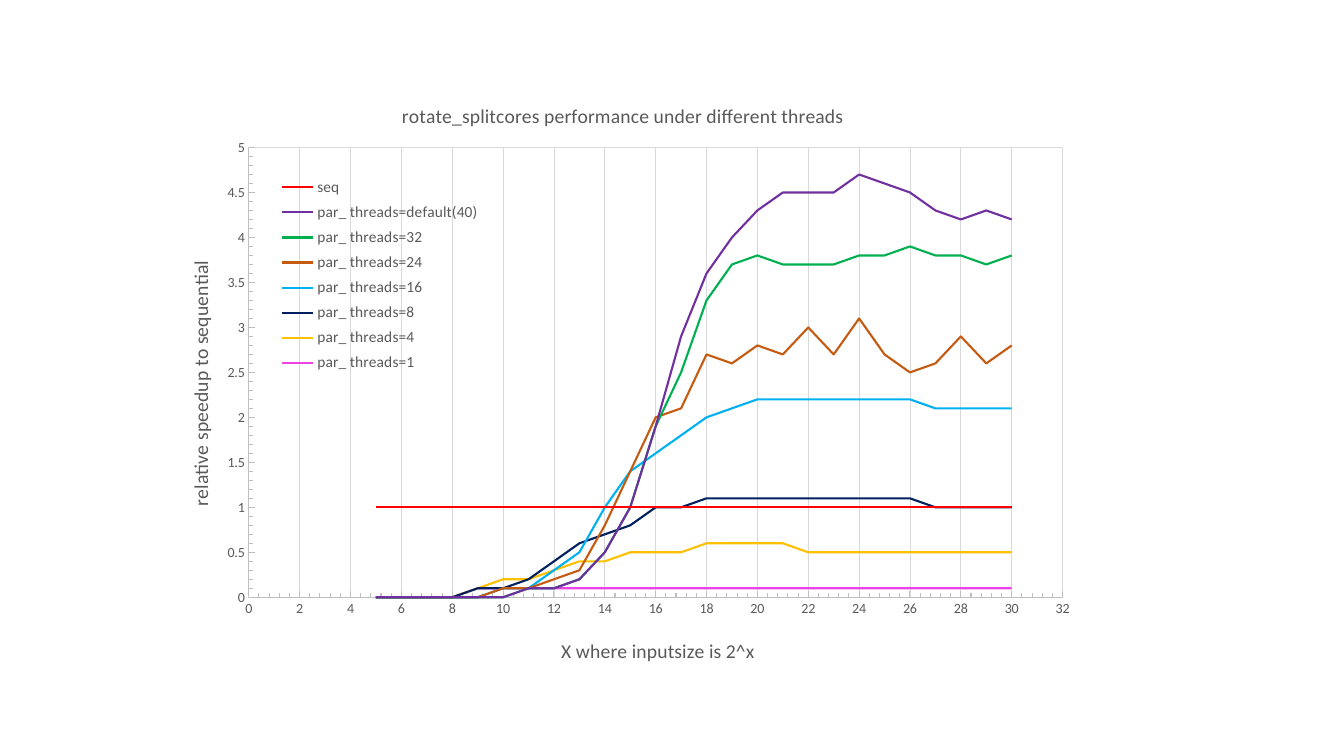
from pptx import Presentation
from pptx.chart.data import XyChartData as XyData
from pptx.dml.color import RGBColor as RGB
from pptx.enum.chart import XL_CHART_TYPE as Kind
from pptx.enum.chart import XL_LEGEND_POSITION as Side
from pptx.enum.chart import XL_TICK_MARK as Tick
from pptx.oxml import parse_xml
from pptx.oxml.ns import nsdecls, qn
from pptx.util import Pt

FONT = "Calibri"
TEXT = RGB(0x59, 0x59, 0x59)
AXIS = RGB(0xBF, 0xBF, 0xBF)
GRID = RGB(0xD9, 0xD9, 0xD9)
RED = RGB(0xFF, 0x00, 0x00)
PURPLE = RGB(0x70, 0x30, 0xA0)
GREEN = RGB(0x00, 0xB0, 0x50)
RUST = RGB(0xC5, 0x5A, 0x11)
SKY = RGB(0x00, 0xB0, 0xF0)
NAVY = RGB(0x00, 0x20, 0x60)
GOLD = RGB(0xFF, 0xC0, 0x00)
PINK = RGB(0xED, 0x43, 0xE6)

START = 5
SPEEDS = [
    ("seq", RED, [1] * 26),
    ("par_ threads=default(40)", PURPLE,
     [0, 0, 0, 0, 0, 0, 0.1, 0.1, 0.2, 0.5, 1, 1.9, 2.9, 3.6, 4, 4.3, 4.5,
      4.5, 4.5, 4.7, 4.6, 4.5, 4.3, 4.2, 4.3, 4.2]),
    ("par_ threads=32", GREEN,
     [0, 0, 0, 0, 0, 0, 0.1, 0.1, 0.2, 0.5, 1, 1.9, 2.5, 3.3, 3.7, 3.8, 3.7,
      3.7, 3.7, 3.8, 3.8, 3.9, 3.8, 3.8, 3.7, 3.8]),
    ("par_ threads=24", RUST,
     [0, 0, 0, 0, 0, 0.1, 0.1, 0.2, 0.3, 0.8, 1.4, 2, 2.1, 2.7, 2.6, 2.8, 2.7,
      3, 2.7, 3.1, 2.7, 2.5, 2.6, 2.9, 2.6, 2.8]),
    ("par_ threads=16", SKY,
     [0, 0, 0, 0, 0, 0.1, 0.1, 0.3, 0.5, 1, 1.4, 1.6, 1.8, 2, 2.1]
     + [2.2] * 7 + [2.1] * 4),
    ("par_ threads=8", NAVY,
     [0, 0, 0, 0, 0.1, 0.1, 0.2, 0.4, 0.6, 0.7, 0.8, 1, 1]
     + [1.1] * 9 + [1] * 4),
    ("par_ threads=4", GOLD,
     [0, 0, 0, 0, 0.1, 0.2, 0.2, 0.3, 0.4, 0.4, 0.5, 0.5, 0.5]
     + [0.6] * 4 + [0.5] * 9),
    ("par_ threads=1", PINK, [0] * 4 + [0.1] * 22),
]


def set_font(font, size):
    font.name = FONT
    font.size = Pt(size)
    font.bold = False
    font.color.rgb = TEXT


def set_line(line, color, width):
    line.color.rgb = color
    line.width = Pt(width)


def place(node, index, x, y, size=None, inner=False):
    old = node.find(qn("c:layout"))
    if old is not None:
        node.remove(old)
    parts = [("xMode", "edge"), ("yMode", "edge"), ("x", x), ("y", y)]
    if inner:
        parts.insert(0, ("layoutTarget", "inner"))
    if size:
        parts += zip("wh", size)
    body = "".join(f'<c:{tag} val="{val}"/>' for tag, val in parts)
    node.insert(index, parse_xml(
        f'<c:layout {nsdecls("c")}><c:manualLayout>{body}'
        "</c:manualLayout></c:layout>"))


def add_title(title, text, x, y, turn=0):
    frame = title.text_frame
    frame.text = text
    set_font(frame.paragraphs[0].font, 14)
    node = title.element if hasattr(title, "element") else title._element
    body = next(node.iter(qn("a:bodyPr")))
    body.set("rot", str(turn * 60000))
    body.set("vert", "horz")
    place(node, 1, x, y)


def set_axis(axis, top, major, minor):
    axis.minimum_scale = 0
    axis.maximum_scale = top
    axis.major_unit = major
    axis.major_tick_mark = Tick.INSIDE
    axis.minor_tick_mark = Tick.INSIDE
    set_font(axis.tick_labels.font, 10)
    set_line(axis.format.line, AXIS, 0.75)
    unit = next(axis._element.iter(qn("c:majorUnit")))
    unit.addnext(parse_xml(f'<c:minorUnit {nsdecls("c")} val="{minor}"/>'))


def add_frame(area):
    area.append(parse_xml(
        f'<c:spPr {nsdecls("c", "a")}><a:noFill/><a:ln w="{Pt(0.5)}">'
        f'<a:solidFill><a:srgbClr val="{GRID}"/></a:solidFill></a:ln></c:spPr>'))


def add_key(chart):
    chart.has_legend = True
    key = chart.legend
    key.position = Side.LEFT
    key.include_in_layout = False
    next(key._element.iter(qn("c:overlay"))).set("val", "1")
    set_font(key.font, 11)
    place(key._element, 1, 0.12, 0.16, (0.24, 0.34))


def add_graph(slide):
    data = XyData()
    for name, _, speeds in SPEEDS:
        series = data.add_series(name)
        for x, speed in enumerate(speeds, START):
            series.add_data_point(x, speed)
    chart = slide.shapes.add_chart(
        Kind.XY_SCATTER_LINES_NO_MARKERS,
        Pt(110.9), Pt(53.3), Pt(668.2), Pt(434.2), data).chart
    set_font(chart.font, 10)
    plot = chart.plots[0]
    plot.vary_by_categories = False
    for series, (_, color, _) in zip(plot.series, SPEEDS):
        series.smooth = False
        set_line(series.format.line, color, 1.5)
    return chart


def main():
    deck = Presentation()
    deck.slide_width, deck.slide_height = Pt(960), Pt(540)
    slide = deck.slides.add_slide(deck.slide_layouts[6])
    chart = add_graph(slide)
    across, up = chart.category_axis, chart.value_axis
    set_axis(across, 32, 2, 0.4)
    set_axis(up, 5, 0.5, 0.1)
    across.has_major_gridlines = True
    set_line(across.major_gridlines.format.line, GRID, 0.5)
    up.has_major_gridlines = False
    add_title(chart.chart_title,
              "rotate_splitcores performance under different threads", 0.26, 0.04)
    add_title(across.axis_title, "X where inputsize is 2^x", 0.43, 0.92)
    add_title(up.axis_title, "relative speedup to sequential", 0.03, 0.3, -90)
    area = next(chart.element.iter(qn("c:plotArea")))
    place(area, 0, 0.1, 0.12, (0.87, 0.74), True)
    add_frame(area)
    add_key(chart)
    deck.save("out.pptx")


if __name__ == "__main__":
    main()
